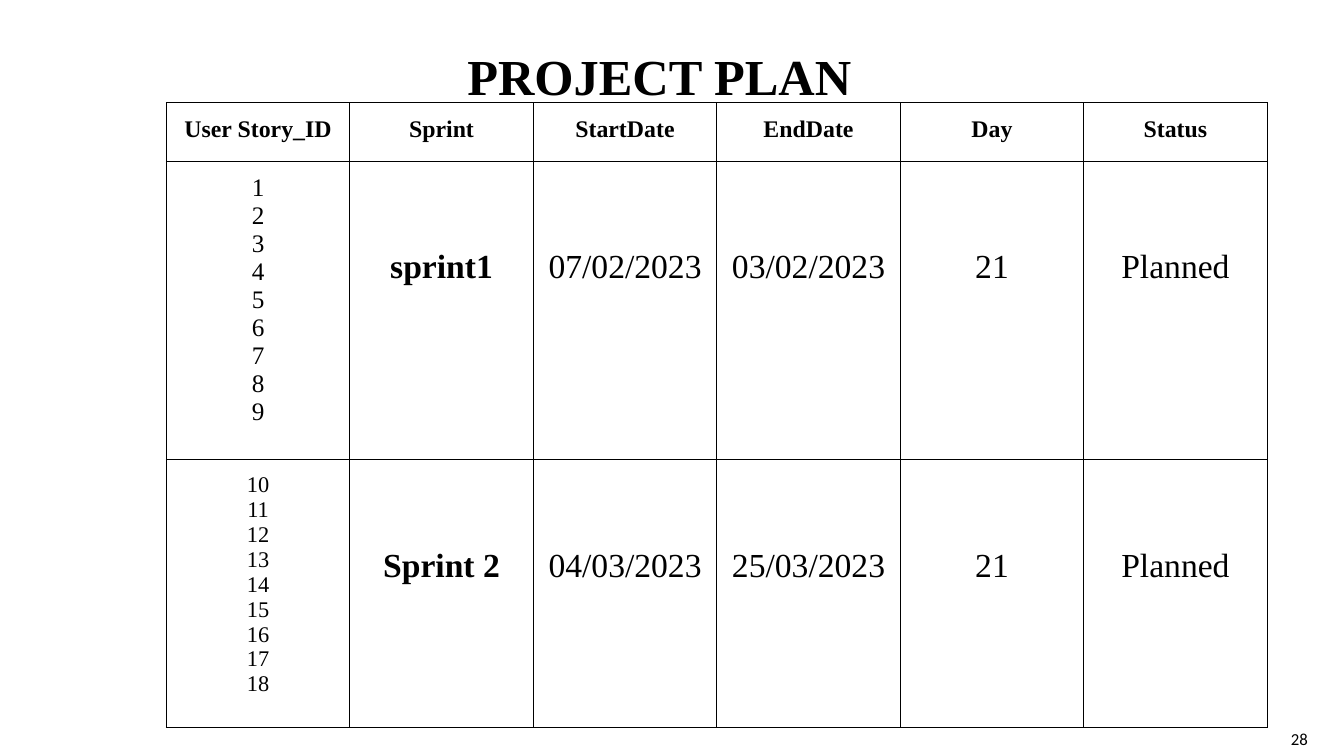
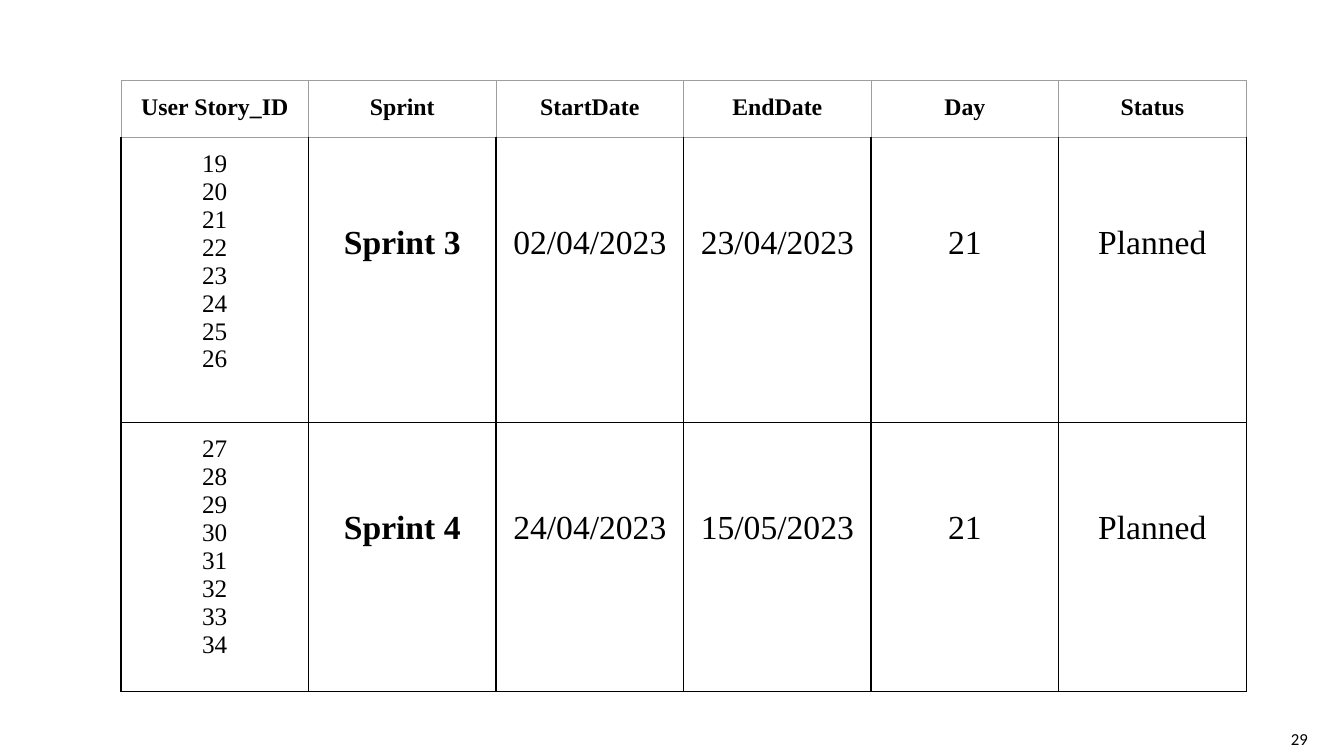
from lxml import etree
from pptx import Presentation, util as u
from pptx.dml.color import RGBColor
from pptx.enum import text as t
from pptx.oxml import ns

BLACK = RGBColor(0x00, 0x00, 0x00)
GREY = RGBColor(0x9E, 0x9E, 0x9E)
SERIF, SANS = "Times New Roman", "Calibri"
PAD = 0.13
DROP = 0.87  # top inset that sets sprint details on the third line
HEADS = ["User Story_ID", "Sprint", "StartDate", "EndDate", "Day", "Status"]

PLANS = [
    dict(title="PROJECT PLAN", page="28", left=1.65, top=1.02, col=1.82,
         rows=[0.58, 2.8, 2.49], edge=(BLACK, 1),
         sprints=[(range(1, 10), 18, "sprint1", "07/02/2023", "03/02/2023"),
                  (range(10, 19), 16, "Sprint 2", "04/03/2023", "25/03/2023")]),
    dict(title=None, page="29", left=1.2, top=0.8, col=1.86,
         rows=[0.56, 2.83, 2.67], edge=(GREY, 0.75),
         sprints=[(range(19, 27), 18, "Sprint 3", "02/04/2023", "23/04/2023"),
                  (range(27, 35), 18, "Sprint 4", "24/04/2023", "15/05/2023")]),
]


def write(frame, lines, size, bold=False, font=SERIF, align=t.PP_ALIGN.CENTER):
    for n, line in enumerate(lines):
        par = frame.add_paragraph() if n else frame.paragraphs[0]
        par.alignment = align
        run = par.add_run()
        run.text = str(line)
        run.font.size, run.font.bold = u.Pt(size), bold
        run.font.name, run.font.color.rgb = font, BLACK


def rule(cell, edges):
    """Draw cell borders; edges maps L, R, T, B to a colour and a width."""
    props = cell._tc.get_or_add_tcPr()
    for n, (side, (tint, width)) in enumerate(edges.items()):
        line = etree.Element(ns.qn(f"a:ln{side}"), w=str(u.Pt(width)))
        fill = etree.SubElement(line, ns.qn("a:solidFill"))
        etree.SubElement(fill, ns.qn("a:srgbClr"), val=str(tint))
        props.insert(n, line)


deck = Presentation()
deck.slide_width, deck.slide_height = u.Inches(13.33), u.Inches(7.5)

for plan in PLANS:
    slide = deck.slides.add_slide(deck.slide_layouts[6])

    if plan["title"]:
        box = slide.shapes.add_textbox(*map(u.Inches, (0.33, 0.26, 12.42, 0.84)))
        box.text_frame.word_wrap = True
        box.text_frame.margin_top = u.Inches(0.19)
        write(box.text_frame, [plan["title"]], 36, True)

    rows, wide = plan["rows"], plan["col"] * len(HEADS)
    area = map(u.Inches, (plan["left"], plan["top"], wide, sum(rows)))
    table = slide.shapes.add_table(len(rows), len(HEADS), *area).table
    table.first_row = table.horz_banding = False
    for col in table.columns:
        col.width = u.Inches(plan["col"])
    for row, high in zip(table.rows, rows):
        row.height = u.Inches(high)

    # Each entry: lines, size, bold, top inset
    grid = [[([head], 17, True, PAD) for head in HEADS]]
    for ids, size, name, start, end in plan["sprints"]:
        facts = [name, start, end, "21", "Planned"]
        grid.append([(ids, size, False, PAD)]
                    + [([fact], 24, fact == name, DROP) for fact in facts])

    for r, row in enumerate(grid):
        side = (BLACK, 1) if r else plan["edge"]
        above = plan["edge"] if r < 2 else side
        for c, (lines, size, bold, inset) in enumerate(row):
            cell = table.cell(r, c)
            cell.fill.background()
            cell.margin_left = cell.margin_right = u.Inches(PAD)
            cell.margin_top, cell.margin_bottom = u.Inches(inset), u.Inches(PAD)
            write(cell.text_frame, lines, size, bold)
            rule(cell, dict(L=side, R=side, T=above, B=side))

    foot = slide.shapes.add_textbox(*map(u.Inches, (12.27, 7.04, 0.8, 0.57)))
    foot.text_frame.word_wrap = True
    foot.text_frame.vertical_anchor = t.MSO_ANCHOR.MIDDLE
    write(foot.text_frame, [plan["page"]], 12, font=SANS, align=t.PP_ALIGN.RIGHT)

deck.save("out.pptx")
